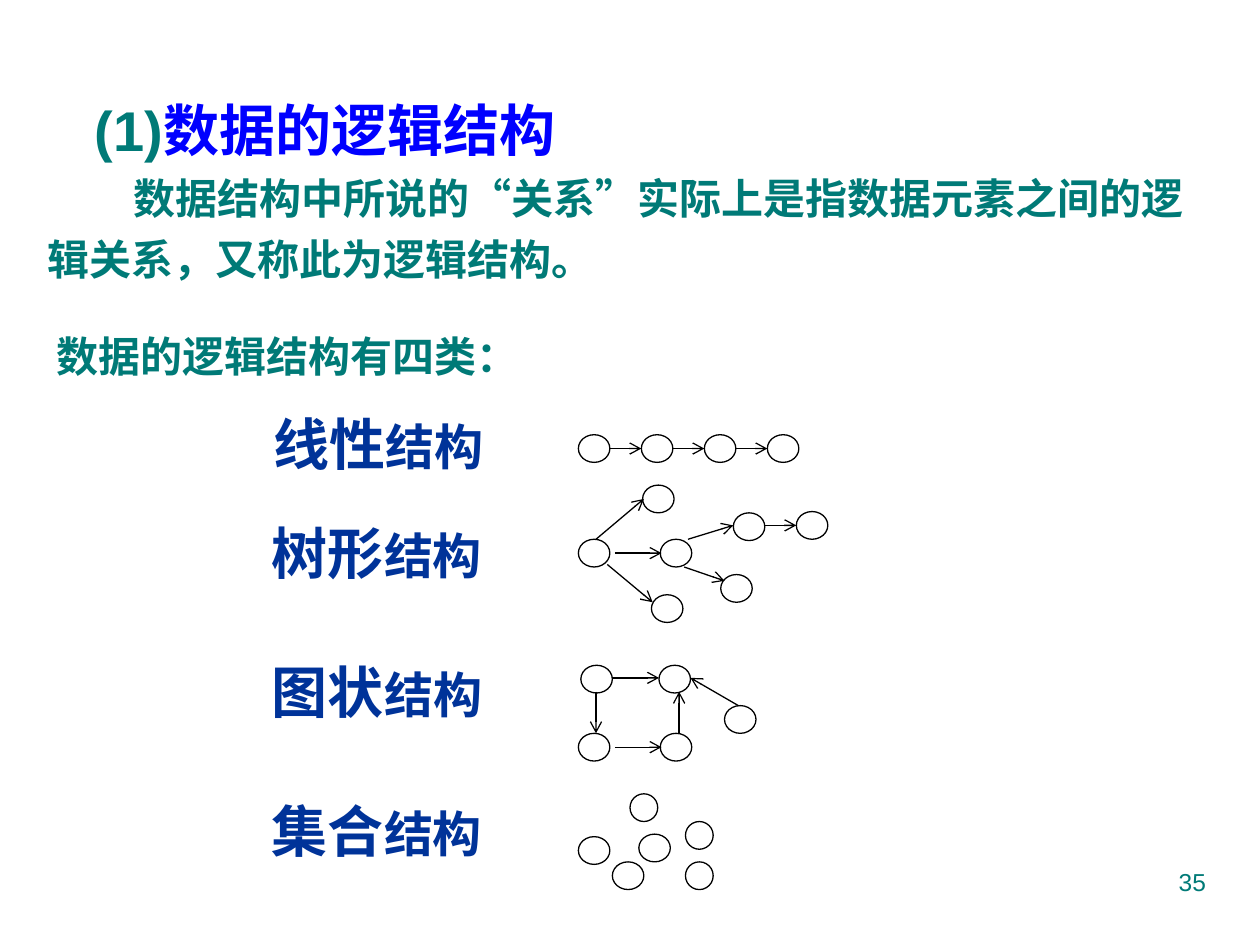
from lxml import etree
from pptx import Presentation, util as u
from pptx.dml.color import RGBColor
from pptx.enum import shapes, text
from pptx.oxml.ns import qn

TEAL, BLUE, NAVY, BLACK, WHITE = "007A77", "0000FF", "003399", "000000", "FFFFFF"
CJK = "Noto Sans CJK SC"
NODE = (0.25, 0.22)   # width and height of a node
DOT = (0.22, 0.22)    # rounder node used in the set

# Content: paragraphs of (text, size, colour) runs
HEADING = [("(1)", 32, TEAL), ("数据的逻辑结构", 32, BLUE)]
INTRO = [("数据结构中所说的“关系”实际上是指数据元素之间的逻辑关系，又称此为逻辑结构。", 24, TEAL)]
LEAD = [("数据的逻辑结构有四类：", 24, TEAL)]
PAGE = [("35", 14, TEAL)]

# Linear structure: nodes at an equal step, linked edge to edge
X0, STEP, COUNT, ROW_Y = 4.59, 0.5, 4, 3.45
chain = [X0 + i * STEP for i in range(COUNT)]
mid = ROW_Y + NODE[1] / 2

# Each structure: name, label (left, top, width), nodes (left, top, size), arrows (from, to)
STRUCTURES = [
    ("线性", (2.07, 3.2, 1.92),
     [(x, ROW_Y, NODE) for x in chain],
     [(a + NODE[0], mid, b, mid) for a, b in zip(chain, chain[1:])]),
    ("树形", (2.06, 4.07, 2.94),
     [(x, y, NODE) for x, y in [(4.59, 4.28), (5.1, 3.85), (5.24, 4.28), (5.17, 4.72),
                                (5.82, 4.07), (5.72, 4.56), (6.32, 4.06)]],
     [(4.88, 4.39, 5.25, 4.39), (4.73, 4.28, 5.11, 3.96), (4.82, 4.48, 5.18, 4.78),
      (5.46, 4.28, 5.82, 4.17), (5.43, 4.5, 5.75, 4.61), (6.07, 4.17, 6.32, 4.17)]),
    ("图状", (2.06, 5.17, 2.99),
     [(x, y, NODE) for x, y in [(4.59, 5.82), (4.61, 5.28), (5.24, 5.82),
                                (5.23, 5.28), (5.75, 5.6)]],
     [(4.88, 5.93, 5.25, 5.93), (4.86, 5.38, 5.23, 5.38), (4.73, 5.49, 4.73, 5.82),
      (5.39, 5.82, 5.39, 5.49), (5.86, 5.6, 5.48, 5.38)]),
    ("集合", (2.06, 6.27, 3.07),
     [(5.07, 6.62, NODE), (4.86, 6.84, NODE), (4.59, 6.64, NODE),
      (5.44, 6.84, DOT), (5.44, 6.52, DOT), (5, 6.3, DOT)],
     []),
]


def rgb(color):
    return RGBColor.from_string(color)


def inches(*values):
    return [u.Inches(v) for v in values]


def write(p, runs, font="Arial", bold=True, align=None, spacing=None, before=0, first=None):
    """Fill a paragraph with runs; first is the first-line indent in inches."""
    p.alignment, p.line_spacing, p.space_before = align, spacing, u.Pt(before)
    if first is not None:
        pPr = p._p.get_or_add_pPr()
        pPr.set("marL", str(u.Inches(0.01)))
        pPr.set("indent", str(u.Inches(first)))
        etree.SubElement(pPr, qn("a:buNone"))
    for words, size, color in runs:
        r = p.add_run()
        r.text = words
        r.font.name, r.font.size, r.font.bold = font, u.Pt(size), bold
        r.font.color.rgb = rgb(color)
        ea = etree.SubElement(r._r.get_or_add_rPr(), qn("a:ea"))
        ea.set("typeface", CJK)


def add_text(s, box, runs, **fmt):
    tf = s.shapes.add_textbox(*inches(*box)).text_frame
    tf.word_wrap = True
    write(tf.paragraphs[0], runs, **fmt)


def add_node(group, x, y, size):
    sp = group.shapes.add_shape(shapes.MSO_SHAPE.OVAL, *inches(x, y, *size))
    sp.shadow.inherit = False
    sp.fill.solid()
    sp.fill.fore_color.rgb = rgb(WHITE)
    sp.line.color.rgb, sp.line.width = rgb(BLACK), u.Pt(0.75)


def add_arrow(group, *ends):
    c = group.shapes.add_connector(shapes.MSO_CONNECTOR.STRAIGHT, *inches(*ends))
    c.line.color.rgb, c.line.width = rgb(BLACK), u.Pt(0.75)
    etree.SubElement(c.line._get_or_add_ln(), qn("a:tailEnd")).set("type", "arrow")
    etree.SubElement(c._element.spPr, qn("a:effectLst"))


def main():
    prs = Presentation()
    prs.slide_width, prs.slide_height = inches(10, 7.5)
    s = prs.slides.add_slide(prs.slide_layouts[1])
    title = s.shapes.title._element
    title.getparent().remove(title)

    # Heading and introduction
    body = s.placeholders[1]
    body.left, body.top, body.width, body.height = inches(0.27, 0.6, 9.45, 2.12)
    tf = body.text_frame
    tf.auto_size = text.MSO_AUTO_SIZE.NONE
    write(tf.paragraphs[0], HEADING, align=text.PP_ALIGN.JUSTIFY, spacing=1.2, first=0.37)
    write(tf.add_paragraph(), INTRO, spacing=1.2, first=0.68)
    add_text(s, (0.35, 2.57, 4.57, 0.71), LEAD, before=6)

    # Four structures: label and diagram
    for name, (x, y, w), nodes, arrows in STRUCTURES:
        add_text(s, (x, y, w, 0.64), [(name, 32, NAVY), ("结构", 28, NAVY)], font=CJK)
        group = s.shapes.add_group_shape()
        for node in nodes:
            add_node(group, *node)
        for arrow in arrows:
            add_arrow(group, *arrow)

    # Page number
    add_text(s, (7.17, 6.83, 2.5, 0.52), PAGE, bold=False, align=text.PP_ALIGN.RIGHT)
    prs.save("out.pptx")


if __name__ == "__main__":
    main()
